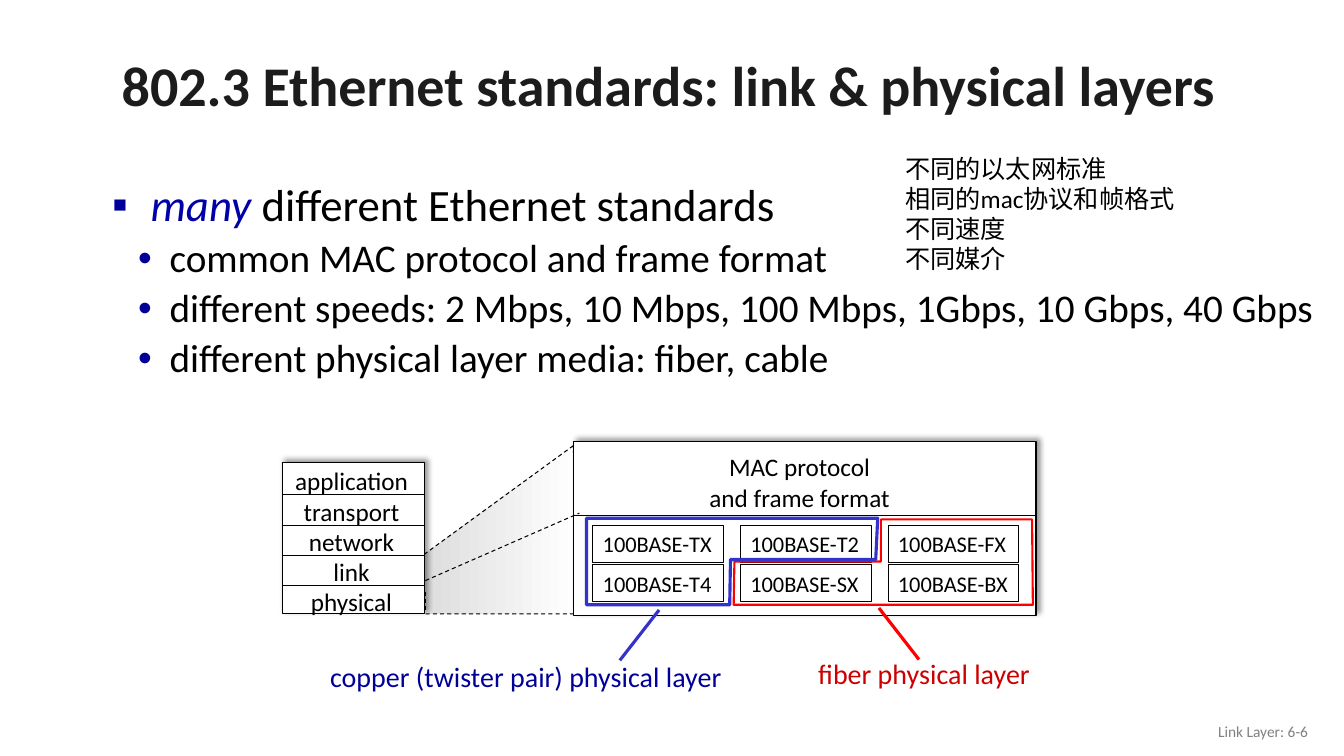
from lxml.etree import SubElement
from pptx import Presentation
from pptx.dml.color import RGBColor
from pptx.enum.dml import MSO_LINE
from pptx.enum.shapes import MSO_CONNECTOR, MSO_SHAPE
from pptx.enum.text import MSO_ANCHOR, MSO_AUTO_SIZE, PP_ALIGN
from pptx.oxml.ns import qn
from pptx.util import Cm, Pt

BLACK, WHITE = "000000", "FFFFFF"
NAVY, BLUE = "000099", "3333CC"
RED, BRICK = "FF0000", "CC0000"


def tint(code):
    return RGBColor.from_string(code)


def apply(item, form):
    for key, value in form.items():
        setattr(item, key, value)


def place(shape, box):
    apply(shape, dict(zip(("left", "top", "width", "height"), map(Cm, box))))


def add_run(para, text, size, color, **form):
    run = para.add_run()
    run.text = text
    apply(run.font, {"name": "Calibri", "size": Pt(size), **form})
    run.font.color.rgb = tint(color)


def write(frame, lines, size, color, align=PP_ALIGN.LEFT, wrap=False,
          anchor=MSO_ANCHOR.TOP):
    apply(frame, {"word_wrap": wrap, "vertical_anchor": anchor,
                  "auto_size": MSO_AUTO_SIZE.NONE})
    for i, text in enumerate(lines):
        para = frame.add_paragraph() if i else frame.paragraphs[0]
        para.alignment = align
        add_run(para, text, size, color)


def add_text(slide, box, lines, size, color, **form):
    note = slide.shapes.add_textbox(*map(Cm, box))
    write(note.text_frame, lines, size, color, **form)


def ink(line, color, width, dash=False):
    line.color.rgb = tint(color)
    line.width = Pt(width)
    if dash:
        line.dash_style = MSO_LINE.DASH


def add_line(slide, start, end, color=BLACK, width=0.75, dash=False):
    link = slide.shapes.add_connector(
        MSO_CONNECTOR.STRAIGHT, *map(Cm, (*start, *end)))
    ink(link.line, color, width, dash)
    SubElement(link._element.spPr, qn("a:effectLst"))


def add_rect(slide, box, filled=True):
    rect = slide.shapes.add_shape(MSO_SHAPE.RECTANGLE, *map(Cm, box))
    rect.shadow.inherit = False
    ink(rect.line, BLACK, 0.75)
    if filled:
        rect.fill.solid()
        rect.fill.fore_color.rgb = tint(WHITE)
    else:
        rect.fill.background()
    return rect


def cast(rect):
    """Give a rectangle a soft shadow up and to the right."""
    effects = rect._element.spPr.find(qn("a:effectLst"))
    outer = SubElement(effects, qn("a:outerShdw"), blurRad=str(Pt(4)),
                       dist=str(Pt(3)), dir="18900000", algn="bl",
                       rotWithShape="0")
    color = SubElement(outer, qn("a:srgbClr"), val=BLACK)
    SubElement(color, qn("a:alpha"), val="40000")


def add_path(slide, points, color, width, dash=False):
    spots = [(Cm(x), Cm(y)) for x, y in points]
    build = slide.shapes.build_freeform(*spots[0])
    build.add_line_segments(spots[1:], close=True)
    shape = build.convert_to_shape()
    shape.shadow.inherit = False
    shape.fill.background()
    ink(shape.line, color, width, dash)
    return shape


def add_title(slide, box):
    title = slide.shapes.title
    place(title, box)
    write(title.text_frame, ["802.3 Ethernet standards: link & physical layers"],
          40, "1C1C1C", align=PP_ALIGN.CENTER, wrap=True,
          anchor=MSO_ANCHOR.MIDDLE)
    para = title.text_frame.paragraphs[0]
    para.line_spacing = 0.9
    para.runs[0].font.bold = True


def add_list(slide, box):
    body = slide.placeholders[1]
    place(body, box)
    frame = body.text_frame
    apply(frame, {"word_wrap": True, "auto_size": MSO_AUTO_SIZE.NONE,
                  "vertical_anchor": MSO_ANCHOR.TOP})
    marks = [("▪", 0.97, -0.97, 32), ("•", 1.45, -0.79, 28)]
    items = [
        (0, "different Ethernet standards"),
        (1, "common MAC protocol and frame format"),
        (1, "different speeds: 2 Mbps, 10 Mbps, 100 Mbps, 1Gbps, 10 Gbps, 40 Gbps"),
        (1, "different physical layer media: fiber, cable"),
    ]
    for i, (level, text) in enumerate(items):
        mark, left, hang, size = marks[level]
        para = frame.add_paragraph() if i else frame.paragraphs[0]
        apply(para, {"level": level, "line_spacing": 0.9,
                     "space_before": Pt(size * 0.2 if i else 0)})
        props = para._p.get_or_add_pPr()
        props.set("marL", str(Cm(left)))
        props.set("indent", str(Cm(hang)))
        SubElement(SubElement(props, qn("a:buClr")), qn("a:srgbClr"), val=NAVY)
        SubElement(props, qn("a:buFont"), typeface="Arial")
        SubElement(props, qn("a:buChar"), char=mark)
        if level == 0:
            add_run(para, "many ", size, "0000A8", italic=True)
        add_run(para, text, size, BLACK)


def add_wedge(slide, x, y):
    points = [(3.76, 0), (0, 2.74), (0, 4.24), (3.86, 4.24)]
    wedge = add_path(slide, [(x + a, y + b) for a, b in points],
                     BLACK, 0.75, dash=True)
    wedge.fill.gradient()
    wedge.fill.gradient_angle = 0
    for stop, code in zip(wedge.fill.gradient_stops, ("DDDDDD", WHITE)):
        stop.color.rgb = tint(code)


def add_stack(slide, x, y, wide, high):
    cast(add_rect(slide, (x, y, wide, high)))
    layers = ["application", "transport", "network", "link", "physical"]
    add_text(slide, (x + 0.05, y - 0.05, 3.4, 4.11), layers, 18, BLACK,
             align=PP_ALIGN.CENTER)
    for i in range(len(layers) - 1):
        row = y + 0.81 + 0.76 * i
        add_line(slide, (x, row), (x + wide, row))
    for side in (x, x + wide):
        add_line(slide, (side, y + 3.25), (side, y + 3.72), dash=True)


def add_panel(slide, x, y, wide, high):
    cast(add_rect(slide, (x, y, wide, high)))
    add_line(slide, (x, y + 1.85), (x + wide, y + 1.85))
    add_text(slide, (x + 3.15, y + 0.13, 5.1, 1.8),
             ["MAC protocol", "and frame format"], 18, BLACK,
             align=PP_ALIGN.CENTER)
    # Lower link edge, reaching into the panel
    add_line(slide, (x - 3.73, y + 3.5), (x + 0.15, y + 1.8), dash=True)
    # Standards grid
    grid = [["TX", "T2", "FX"], ["T4", "SX", "BX"]]
    for j, row in enumerate(grid):
        for i, kind in enumerate(row):
            cell = add_rect(slide, (x + 0.49 + 3.72 * i, y + 2.11 + 0.99 * j,
                                    3.3, 0.94), filled=False)
            write(cell.text_frame, [f"100BASE-{kind}"], 16, BLACK)
    # Outlines of the two media, each with leader and label
    media = [
        ([(7.75, 1.96), (7.75, 3.02), (4.06, 3.02), (4.04, 4.11),
          (11.58, 4.11), (11.56, 1.96)], RED, 1.5, (7.7, 4.19), (8.71, 5.49),
         (5.92, 5.28, 5.89, 1.12), "fiber physical layer", BRICK),
        ([(7.67, 1.93), (7.62, 2.97), (3.96, 2.97), (3.94, 4.11),
          (0.33, 4.11), (0.33, 1.93)], BLUE, 2.25, (2.16, 4.24), (1.17, 5.51),
         (-6.38, 5.36, 10.82, 1.12), "copper (twister pair) physical layer",
         NAVY),
    ]
    for points, color, width, start, end, spot, label, dark in media:
        add_path(slide, [(x + a, y + b) for a, b in points], color, width)
        add_line(slide, (x + start[0], y + start[1]),
                 (x + end[0], y + end[1]), color, 2.25)
        add_text(slide, (x + spot[0], y + spot[1], *spot[2:]), [label], 20, dark)


def main():
    deck = Presentation()
    apply(deck, {"slide_width": Cm(33.87), "slide_height": Cm(19.05)})
    slide = deck.slides.add_slide(deck.slide_layouts[1])
    # Heading, footer and list
    add_title(slide, (2.24, 0.97, 29.21, 2.49))
    add_text(slide, (25.6, 17.91, 7.62, 1.02), ["Link Layer: 6-6"], 11,
             "808080", align=PP_ALIGN.RIGHT, wrap=True,
             anchor=MSO_ANCHOR.MIDDLE)
    add_list(slide, (2.57, 4.47, 31.1, 5.3))
    # Diagram
    add_wedge(slide, 10.69, 11.23)
    add_stack(slide, 7.11, 11.66, 3.6, 3.81)
    add_panel(slide, 14.45, 11.13, 11.66, 4.37)
    # Side note
    add_text(slide, (22.56, 3.73, 9.12, 3.33),
             ["不同的以太网标准", "相同的mac协议和帧格式", "不同速度", "不同媒介"],
             18, BLACK, wrap=True)
    deck.save("out.pptx")


if __name__ == "__main__":
    main()
